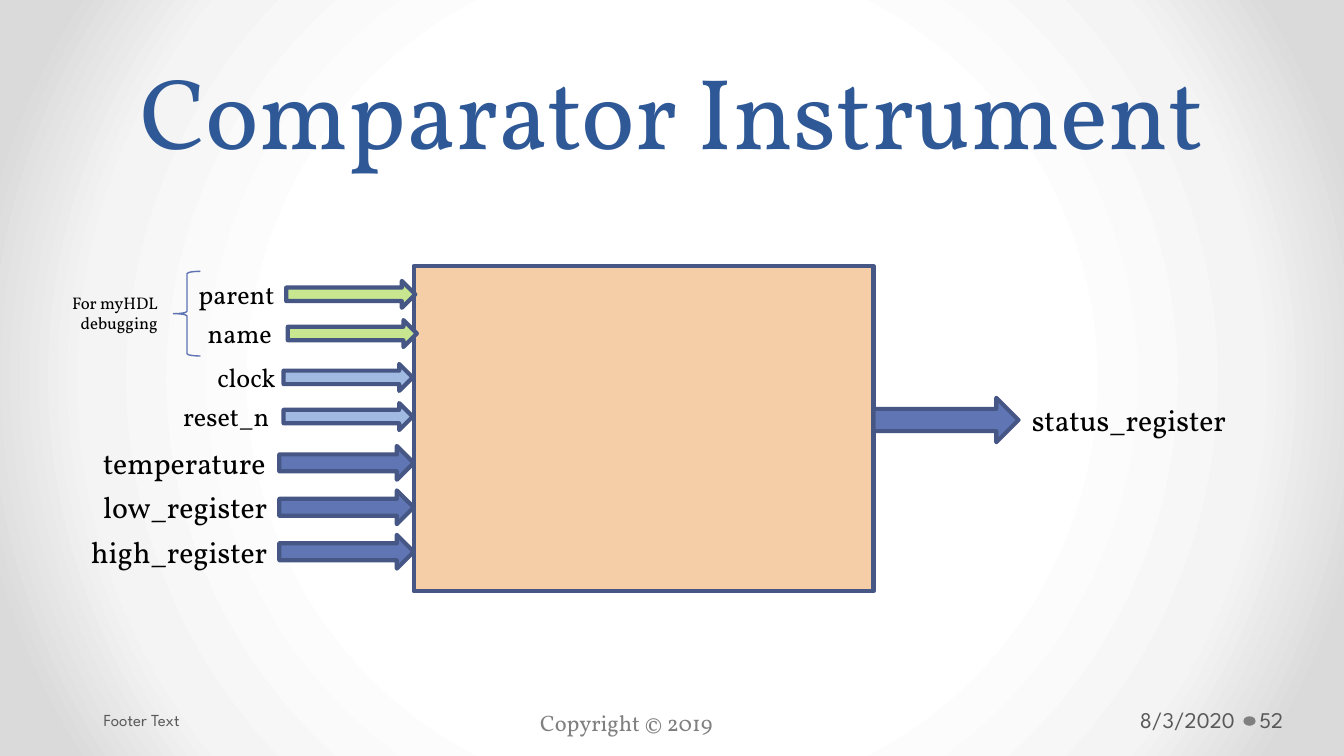
from dataclasses import dataclass

from pptx import Presentation
from pptx.dml.color import RGBColor
from pptx.enum.shapes import MSO_SHAPE
from pptx.enum.text import MSO_ANCHOR, MSO_AUTO_SIZE, PP_ALIGN
from pptx.oxml import parse_xml
from pptx.oxml.ns import nsdecls
from pptx.util import Cm, Pt


@dataclass(frozen=True)
class Theme:
    serif: str = "Vollkorn"
    sans: str = "League Spartan"
    title: str = "2F5897"
    ink: str = "000000"
    muted: str = "808080"
    footer: str = "595959"
    outline: str = "475785"
    brace: str = "5C72B2"
    block: str = "F5CEA7"
    debug: str = "C7E68F"
    control: str = "A0BAE1"
    data: str = "6076B4"
    backdrop: tuple = ((0, "FFFFFF"), (50, "FFFFFF"), (76, "F4F4F4"), (92, "DADADA"), (100, "DADADA"))
    title_size: int = 54
    data_size: int = 16
    pin_size: int = 14
    footer_size: int = 12
    note_size: int = 9


class DiagramSlide:
    def __init__(self, deck, theme):
        self.theme = theme
        self.slide = deck.slides.add_slide(deck.slide_layouts[5])

    def place(self, element, box):
        element.left, element.top, element.width, element.height = map(Cm, box)

    def background(self):
        fill = self.slide.background.fill
        fill.gradient()
        gradient = self.slide.element.xpath(".//p:bgPr/a:gradFill")[0]
        stops = "".join(
            f'<a:gs pos="{percent * 1000}"><a:srgbClr val="{color}"/></a:gs>'
            for percent, color in self.theme.backdrop
        )
        radial = parse_xml(
            f'<a:gradFill {nsdecls("a")} rotWithShape="1"><a:gsLst>{stops}</a:gsLst>'
            '<a:path path="circle"><a:fillToRect l="50000" t="50000" r="50000" b="50000"/>'
            "</a:path></a:gradFill>"
        )
        gradient.getparent().replace(gradient, radial)

    def set_text(self, frame, text, size, color, font, align):
        frame.text = text
        paragraph = frame.paragraphs[0]
        paragraph.alignment = align
        style = paragraph.runs[0].font
        style.name, style.size = font, Pt(size)
        style.color.rgb = RGBColor.from_string(color)

    def title(self, text, box):
        heading = self.slide.shapes.title
        self.place(heading, box)
        frame = heading.text_frame
        frame.auto_size = MSO_AUTO_SIZE.NONE
        frame.vertical_anchor = MSO_ANCHOR.BOTTOM
        self.set_text(frame, text, self.theme.title_size, self.theme.title, self.theme.serif, PP_ALIGN.CENTER)
        frame.paragraphs[0].line_spacing = Pt(58)

    def label(self, text, box, size, align=PP_ALIGN.LEFT, color=None):
        frame = self.slide.shapes.add_textbox(*map(Cm, box)).text_frame
        frame.word_wrap = True
        self.set_text(frame, text, size, color or self.theme.ink, self.theme.serif, align)

    def footer(self, text, box, size, margins, align=PP_ALIGN.LEFT):
        frame = self.slide.shapes.add_textbox(*map(Cm, box)).text_frame
        frame.word_wrap = True
        frame.vertical_anchor = MSO_ANCHOR.MIDDLE
        frame.margin_left, frame.margin_right = map(Cm, margins)
        self.set_text(frame, text, size, self.theme.footer, self.theme.sans, align)

    def shape(self, kind, box, fill=None, line=None, weight=2.25):
        figure = self.slide.shapes.add_shape(kind, *map(Cm, box))
        figure.shadow.inherit = False
        if fill:
            figure.fill.solid()
            figure.fill.fore_color.rgb = RGBColor.from_string(fill)
        else:
            figure.fill.background()
        if line:
            figure.line.color.rgb = RGBColor.from_string(line)
            figure.line.width = Pt(weight)
        else:
            figure.line.fill.background()

    def arrow(self, box, fill):
        self.shape(MSO_SHAPE.RIGHT_ARROW, box, fill, self.theme.outline)


def main():
    deck = Presentation()
    deck.slide_width, deck.slide_height = Cm(25.4), Cm(14.29)
    theme = Theme()
    page = DiagramSlide(deck, theme)

    page.background()
    page.title("Comparator Instrument", (1.27, 0, 22.86, 3.33))

    page.shape(MSO_SHAPE.OVAL, (23.5, 13.54, 0.23, 0.18), theme.muted)
    page.label("Copyright © 2019", (9.96, 13.28, 7.42, 0.76), theme.footer_size, color=theme.muted)
    page.footer("8/3/2020", (20.96, 13.23, 2.51, 0.76), theme.footer_size, (0.25, 0.13), PP_ALIGN.RIGHT)
    page.footer("Footer Text", (1.83, 13.23, 7.9, 0.76), theme.note_size, (0.13, 0.25))
    page.footer("52", (23.72, 13.23, 1.55, 0.76), theme.footer_size, (0.08, 0.13))

    page.shape(MSO_SHAPE.RECTANGLE, (7.82, 5.03, 8.69, 6.15), theme.block, theme.outline)

    pins = [
        ("parent", 5.44, 5.41, 5.31, theme.debug),
        ("name", 5.39, 5.44, 6.05, theme.debug),
        ("clock", 5.46, 5.36, 6.88, theme.control),
        ("reset_n", 5.34, 5.36, 7.62, theme.control),
    ]
    for pin, label_right, arrow_left, top, color in pins:
        page.label(pin, (label_right - 2.16, top - 0.18, 2.16, 0.86), theme.pin_size, PP_ALIGN.RIGHT)
        page.arrow((arrow_left, top, 2.44, 0.51), color)

    page.shape(MSO_SHAPE.LEFT_BRACE, (3.28, 5.13, 0.51, 1.6), line=theme.brace, weight=0.75)
    page.label("For myHDL debugging", (0.84, 5.41, 2.39, 1.02), theme.note_size, PP_ALIGN.RIGHT)

    registers = [("temperature", 1.7), ("low_register", 1.7), ("high_register", 1.47)]
    for row, (register, left) in enumerate(registers):
        top = 8.43 + row * 0.84
        page.label(register, (left, top - 0.15, 5.16, 0.94), theme.data_size)
        page.arrow((5.28, top, 2.54, 0.64), theme.data)

    page.arrow((16.51, 7.52, 2.74, 0.84), theme.data)
    page.label("status_register", (19.25, 7.47, 4.88, 0.94), theme.data_size)

    deck.save("out.pptx")


if __name__ == "__main__":
    main()
